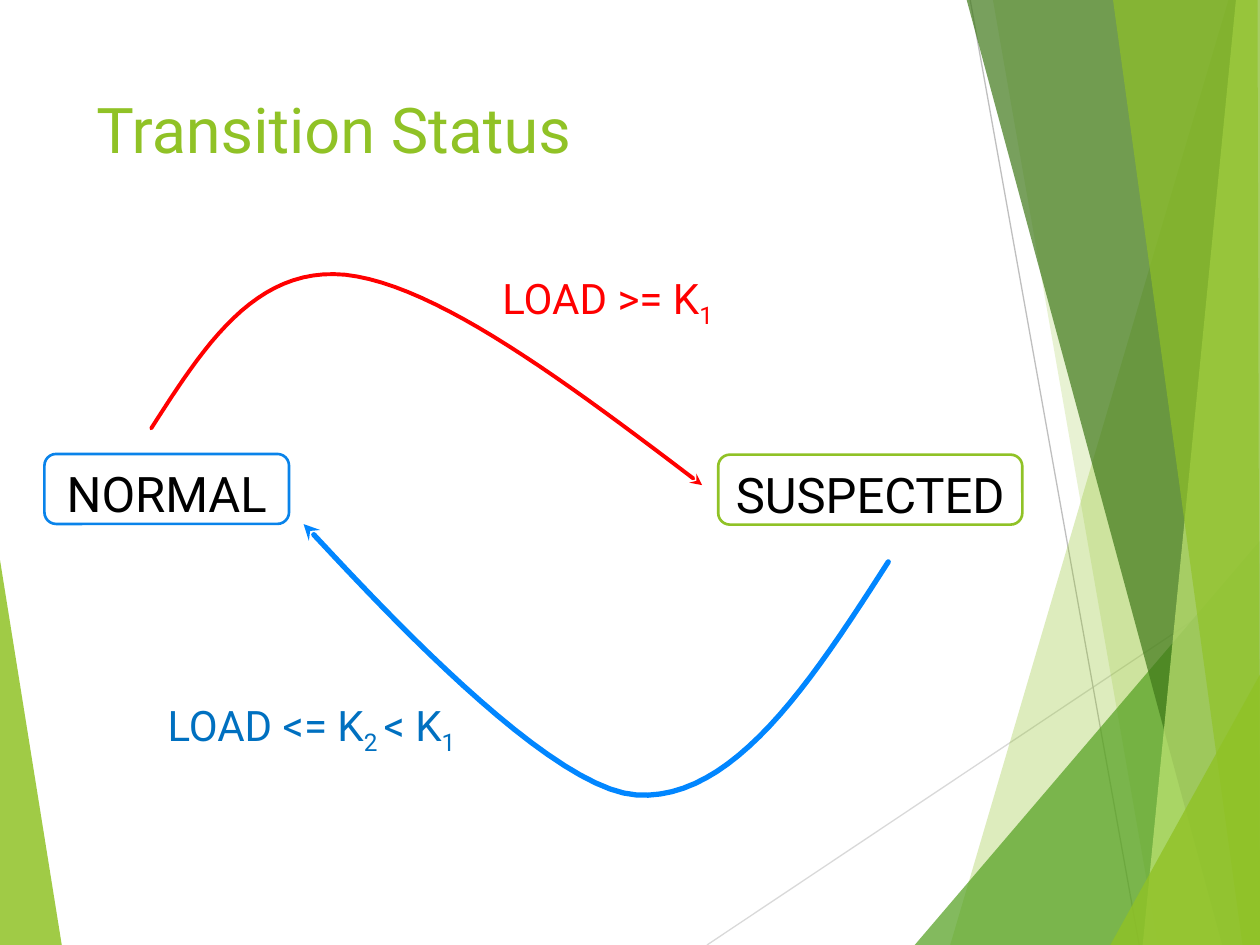
from lxml import etree
from pptx import Presentation
from pptx import util as u
from pptx.dml import color as dml
from pptx.enum import shapes, text
from pptx.oxml.ns import qn

COLORS = {
    "white": "FFFFFF", "black": "000000", "lime": "90C226", "green": "54A021",
    "forest": "3F7819", "pale": "C0E474", "light_gray": "D9D9D9", "gray": "BFBFBF",
    "red": "FF0000", "blue": "0186FF", "border_blue": "0983EA", "label_blue": "0070C0",
}
RGB = {name: dml.RGBColor.from_string(code) for name, code in COLORS.items()}
STEPS = 24  # straight pieces per curve segment

prs = Presentation()
prs.slide_width, prs.slide_height = u.Pt(720), u.Pt(540)
slide = prs.slides.add_slide(prs.slide_layouts[6])


def write_text(frame, runs, size, color, align=text.PP_ALIGN.CENTER, wrap=True):
    """Write (wording, is_subscript) runs as one paragraph."""
    frame.word_wrap = wrap
    frame.vertical_anchor = text.MSO_ANCHOR.TOP
    paragraph = frame.paragraphs[0]
    paragraph.alignment = align
    for wording, is_subscript in runs:
        run = paragraph.add_run()
        run.text = wording
        run.font.name, run.font.size = "Roboto", u.Pt(size)
        run.font.color.rgb = RGB[color]
        if is_subscript:
            run._r.get_or_add_rPr().set("baseline", "-25000")


def add_outline(points, close):
    """Draw a freeform through points given in points."""
    corners = [(u.Pt(x), u.Pt(y)) for x, y in points]
    builder = slide.shapes.build_freeform(*corners[0])
    builder.add_line_segments(corners[1:], close=close)
    outline = builder.convert_to_shape()
    outline.shadow.inherit = False
    return outline


# Thin background lines
for x1, y1, x2, y2, color in [(404, 540, 720, 329, "light_gray"), (554.4, 0, 651, 540, "gray")]:
    ray = slide.shapes.add_connector(
        shapes.MSO_CONNECTOR.STRAIGHT, u.Pt(x1), u.Pt(y1), u.Pt(x2), u.Pt(y2))
    ray.line.color.rgb, ray.line.width = RGB[color], u.Pt(0.75)
    etree.SubElement(ray._element.spPr, qn("a:effectLst"))

# Translucent facets: corners, colour, opacity in percent
facets = [
    ([(0, 320), (35.3, 540), (0, 540)], "lime", 85),
    ([(702, 0), (543, 540), (720, 540), (720, 0)], "lime", 30),
    ([(567.4, 0), (661.7, 540), (720, 540), (720, 0)], "lime", 20),
    ([(522.7, 540), (720, 309), (720, 540)], "green", 72),
    ([(552.4, 0), (698.4, 540), (720, 540), (720, 0)], "forest", 70),
    ([(706.3, 0), (653, 540), (720, 540), (720, 0)], "pale", 70),
    ([(636, 0), (710, 540), (720, 540), (718.6, 0)], "lime", 65),
    ([(634.5, 540), (720, 385.5), (720, 540)], "lime", 80),
]
for corners, color, opacity in facets:
    facet = add_outline(corners, close=True)
    facet.fill.solid()
    facet.fill.fore_color.rgb = RGB[color]
    facet.line.fill.background()
    tint = facet._element.spPr.find(".//" + qn("a:srgbClr"))
    etree.SubElement(tint, qn("a:alpha"), val=str(opacity * 1000))

# Title
title = slide.shapes.add_textbox(u.Pt(48), u.Pt(48), u.Pt(500), u.Pt(104))
write_text(title.text_frame, [("Transition Status", False)], 36, "lime",
           align=text.PP_ALIGN.LEFT)

# Status boxes
for status, left, top, width, border in [
    ("NORMAL", 25.4, 259.4, 139.8, "border_blue"),
    ("SUSPECTED", 410.4, 259.8, 173.8, "lime"),
]:
    box = slide.shapes.add_shape(shapes.MSO_SHAPE.ROUNDED_RECTANGLE,
                                 u.Pt(left), u.Pt(top), u.Pt(width), u.Pt(40))
    box.shadow.inherit = False
    box.fill.solid()
    box.fill.fore_color.rgb = RGB["white"]
    box.line.color.rgb, box.line.width = RGB[border], u.Pt(1.5)
    write_text(box.text_frame, [(status, False)], 28, "black")

# Curved transitions: start, then two control points and an end per segment
transitions = [
    ([(86.4, 244.8), (116, 198.7), (145.4, 152), (197.3, 157),
      (249.8, 162.7), (325.4, 219.6), (401.2, 277.2)], "red", 2.25),
    ([(507.6, 321.1), (463.7, 389.5), (419, 458), (363.6, 454.3),
      (308.2, 450.7), (193, 319), (173.5, 299.5)], "blue", 3),
]
for knots, color, width in transitions:
    points = [knots[0]]
    for first in range(0, len(knots) - 1, 3):
        segment = knots[first:first + 4]
        for step in range(1, STEPS + 1):
            t = step / STEPS
            weights = ((1 - t) ** 3, 3 * t * (1 - t) ** 2, 3 * t * t * (1 - t), t ** 3)
            points.append(tuple(sum(w * knot[axis] for w, knot in zip(weights, segment))
                                for axis in (0, 1)))
    transition = add_outline(points, close=False)
    transition.fill.background()
    transition.line.color.rgb, transition.line.width = RGB[color], u.Pt(width)
    stroke = transition._element.spPr.find(qn("a:ln"))
    stroke.set("cap", "rnd")
    etree.SubElement(stroke, qn("a:round"))
    etree.SubElement(stroke, qn("a:tailEnd"), type="stealth")

# Transition conditions
for runs, left, top, width, color in [
    ([("LOAD >= K", False), ("1", True)], 280, 152, 134.6, "red"),
    ([("LOAD <= K", False), ("2 ", True), ("< K", False), ("1", True)],
     87, 396, 182, "label_blue"),
]:
    condition = slide.shapes.add_textbox(u.Pt(left), u.Pt(top), u.Pt(width), u.Pt(36))
    write_text(condition.text_frame, runs, 24, color, wrap=False)

prs.save("out.pptx")
